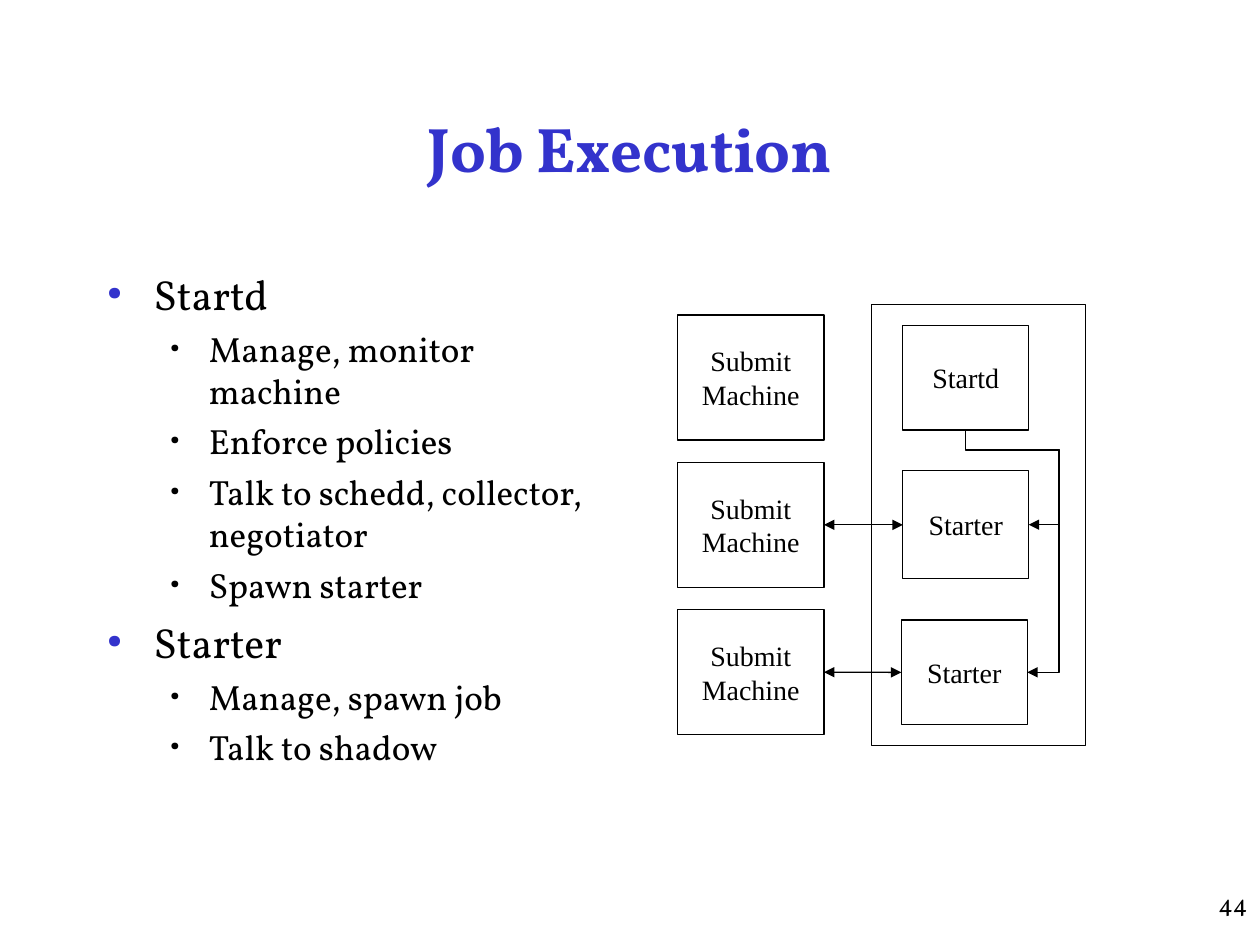
from lxml import etree
from pptx import Presentation
from pptx.dml.color import RGBColor
from pptx.enum.shapes import MSO_CONNECTOR, MSO_SHAPE
from pptx.enum.text import MSO_ANCHOR, PP_ALIGN
from pptx.oxml.ns import qn
from pptx.util import Cm, Pt

BLACK = RGBColor(0x00, 0x00, 0x00)
WHITE = RGBColor(0xFF, 0xFF, 0xFF)
BLUE = RGBColor(0x33, 0x33, 0xCC)
SERIF = "Vollkorn"
LABEL_FONT = "Times New Roman"
LEFT, CENTER, RIGHT = PP_ALIGN.LEFT, PP_ALIGN.CENTER, PP_ALIGN.RIGHT
TOP, MIDDLE = MSO_ANCHOR.TOP, MSO_ANCHOR.MIDDLE
STRAIGHT, ELBOW = MSO_CONNECTOR.STRAIGHT, MSO_CONNECTOR.ELBOW
LEFT_SITE, BOTTOM_SITE, RIGHT_SITE = 1, 2, 3

TITLE = "Job Execution"
PAGE_NUMBER = "44"
OUTLINE = [
    (0, "Startd"),
    (1, "Manage, monitor machine"),
    (1, "Enforce policies"),
    (1, "Talk to schedd, collector, negotiator"),
    (1, "Spawn starter"),
    (0, "Starter"),
    (1, "Manage, spawn job"),
    (1, "Talk to shadow"),
]
LEVELS = [
    {"size": 24, "before": 6, "margin": 0.95, "hang": 0.95, "color": BLUE, "scale": 120},
    {"size": 20, "before": 5, "margin": 2.06, "hang": 0.79, "color": BLACK, "scale": 90},
]
SUBMIT_LABEL = "Submit\nMachine"
SUBMIT_LEFT, SUBMIT_TOP, SUBMIT_STEP = 13.66, 6.35, 2.97
SUBMIT_SIZE = (2.95, 2.52)
EXECUTE_FRAME = (17.57, 6.14, 4.32, 8.89)
DAEMONS = [
    ("Startd", 18.2, 6.56, 2.54, 2.11),
    ("Starter", 18.2, 9.49, 2.54, 2.18),
    ("Starter", 18.17, 12.5, 2.54, 2.11),
]
TRUNK_X, TRUNK_Y = Cm(21.35), Cm(9.07)


def style_text(frame, size, font, color, align, anchor, bold=False):
    frame.word_wrap = True
    frame.vertical_anchor = anchor
    for paragraph in frame.paragraphs:
        paragraph.alignment = align
        for span in paragraph.runs:
            span.font.size = Pt(size)
            span.font.name = font
            span.font.bold = bold
            span.font.color.rgb = color


def add_text(page, text, place, size, color, align, anchor, bold=False):
    box = page.shapes.add_textbox(*map(Cm, place))
    box.text_frame.text = text
    style_text(box.text_frame, size, SERIF, color, align, anchor, bold)


def add_bullet(paragraph, level):
    properties = paragraph._p.get_or_add_pPr()
    properties.set("marL", str(Cm(level["margin"])))
    properties.set("indent", str(-Cm(level["hang"])))
    color = etree.SubElement(properties, qn("a:buClr"))
    etree.SubElement(color, qn("a:srgbClr"), val=str(level["color"]))
    etree.SubElement(properties, qn("a:buSzPct"), val=str(level["scale"] * 1000))
    etree.SubElement(properties, qn("a:buFont"), typeface=SERIF)
    etree.SubElement(properties, qn("a:buChar"), char="•")


def add_outline(page):
    box = page.shapes.add_textbox(Cm(1.9), Cm(5.28), Cm(10.59), Cm(10.39))
    frame = box.text_frame
    frame.text = "\n".join(text for _, text in OUTLINE)
    style_text(frame, 20, SERIF, BLACK, LEFT, TOP)
    for index, (depth, _) in enumerate(OUTLINE):
        paragraph, level = frame.paragraphs[index], LEVELS[depth]
        paragraph.level = depth
        if index:
            paragraph.space_before = Pt(level["before"])
        add_bullet(paragraph, level)
        paragraph.runs[0].font.size = Pt(level["size"])


def add_rectangle(page, place, label=""):
    box = page.shapes.add_shape(MSO_SHAPE.RECTANGLE, *map(Cm, place))
    box.shadow.inherit = False
    box.fill.solid()
    box.fill.fore_color.rgb = WHITE
    box.line.color.rgb = BLACK
    box.line.width = Pt(0.75)
    if label:
        box.text_frame.text = label
        style_text(box.text_frame, 16, LABEL_FONT, BLACK, CENTER, MIDDLE)
    return box


def add_link(page, kind, start, start_site, end, end_site, arrows):
    link = page.shapes.add_connector(kind, 0, 0, 0, 0)
    link.begin_connect(start, start_site)
    link.end_connect(end, end_site)
    link.line.color.rgb = BLACK
    link.line.width = Pt(0.75)
    for arrow in arrows:
        etree.SubElement(link.line._get_or_add_ln(), qn(arrow), type="triangle")
    etree.SubElement(link._element.spPr, qn("a:effectLst"))
    return link


def route_by_trunk(link):
    shape = link._element.spPr.find(qn("a:prstGeom"))
    shape.set("prst", "bentConnector4")
    guides = shape.find(qn("a:avLst"))
    if guides is None:
        guides = etree.SubElement(shape, qn("a:avLst"))
    across = (TRUNK_X - link.begin_x) / (link.end_x - link.begin_x)
    down = (TRUNK_Y - link.begin_y) / (link.end_y - link.begin_y)
    for name, share in (("adj1", across), ("adj2", down)):
        etree.SubElement(guides, qn("a:gd"), name=name, fmla=f"val {round(share * 100000)}")


def main():
    deck = Presentation()
    deck.slide_width, deck.slide_height = Cm(25.4), Cm(19.05)
    page = deck.slides.add_slide(deck.slide_layouts[6])

    add_text(page, TITLE, (1.9, 1.7, 21.6, 2.54), 36, BLUE, CENTER, MIDDLE, True)
    add_outline(page)

    add_rectangle(page, EXECUTE_FRAME)
    submitters = [
        add_rectangle(page, (SUBMIT_LEFT, SUBMIT_TOP + row * SUBMIT_STEP, *SUBMIT_SIZE), SUBMIT_LABEL)
        for row in range(3)
    ]
    startd, *starters = [add_rectangle(page, place, label) for label, *place in DAEMONS]

    for starter, submitter in zip(starters, submitters[1:]):
        add_link(page, STRAIGHT, starter, LEFT_SITE, submitter, RIGHT_SITE, ("a:headEnd", "a:tailEnd"))
        route_by_trunk(add_link(page, ELBOW, starter, RIGHT_SITE, startd, BOTTOM_SITE, ("a:headEnd",)))

    add_text(page, PAGE_NUMBER, (22.66, 17.78, 2.74, 1.27), 14, BLACK, RIGHT, TOP)
    deck.save("out.pptx")


if __name__ == "__main__":
    main()
